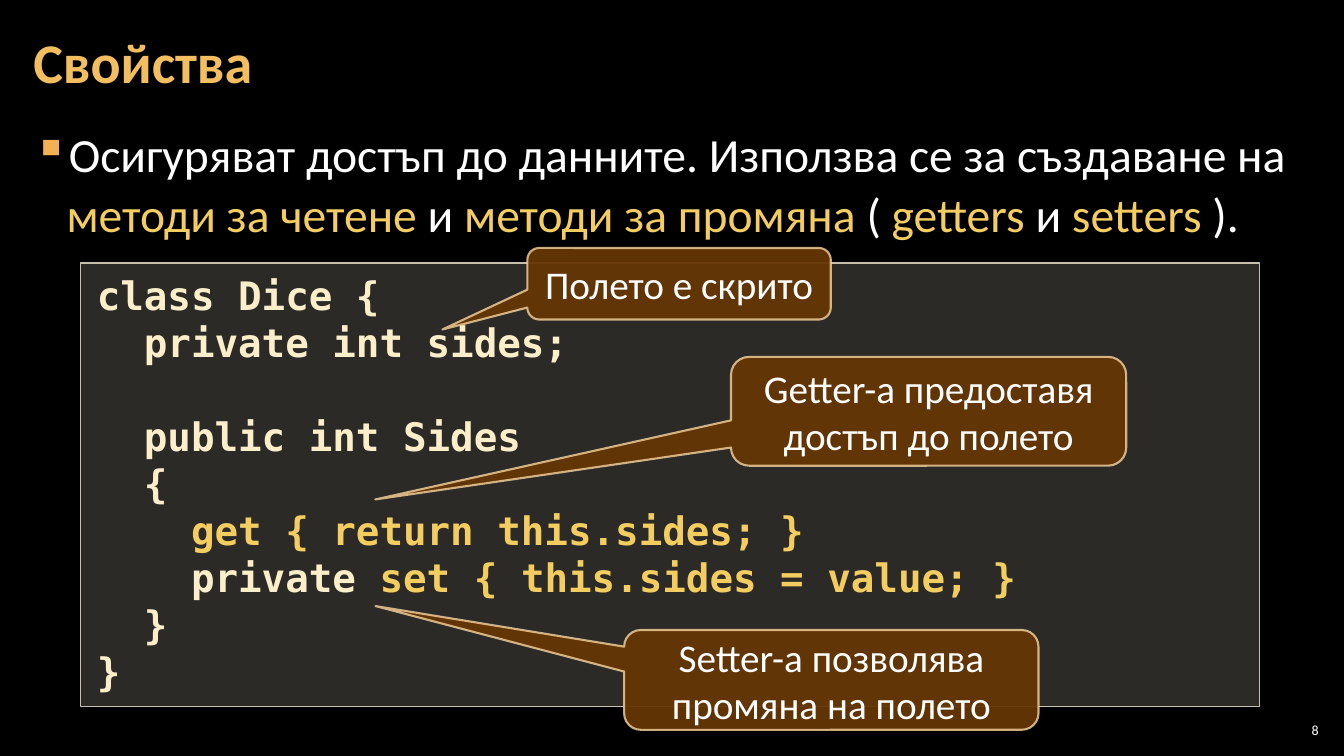
"""Build the slide about properties with getters and setters in a class."""
import pptx
import pptx.util
import pptx.dml.color
import pptx.enum.shapes
import pptx.enum.text
import pptx.oxml.ns
from lxml import etree

Inches = pptx.util.Inches
Pt = pptx.util.Pt
RGB = pptx.dml.color.RGBColor.from_string
ANCHOR = pptx.enum.text.MSO_ANCHOR
ALIGN = pptx.enum.text.PP_ALIGN
SHAPE = pptx.enum.shapes.MSO_SHAPE
COLORS = {
    "background": "000000", "white": "FFFFFF", "title": "F3BE60", "bullet": "F2B254",
    "accent": "F3CD60", "code": "FBEEC9", "code_fill": "D9D5C7", "code_line": "C7BFAC",
    "callout_fill": "663606", "callout_line": "F8D49E",
}


def write_spans(para, spans, size, font="Calibri", bold=False):
    para.font.size = Pt(size)
    for text, color in spans:
        span = para.add_run()
        span.text = text
        span.font.name = font
        span.font.size = Pt(size)
        span.font.bold = bold
        span.font.color.rgb = RGB(COLORS[color])


def set_opacity(color_format, color, percent):
    color_format.rgb = RGB(COLORS[color])
    for node in color_format._xFill.iter(pptx.oxml.ns.qn("a:srgbClr")):
        etree.SubElement(node, pptx.oxml.ns.qn("a:alpha"), val=str(percent * 1000))


deck = pptx.Presentation()
deck.slide_width = Inches(13.33)
deck.slide_height = Inches(7.5)
page = deck.slides.add_slide(deck.slide_layouts[5])
page.background.fill.solid()
page.background.fill.fore_color.rgb = RGB(COLORS["background"])

title = page.shapes.title
title.left, title.top, title.width, title.height = map(Inches, (0.21, 0.04, 10.47, 1.21))
body = page.shapes.add_textbox(Inches(0.21), Inches(1.17), Inches(12.91), Inches(6.09))
number = page.shapes.add_textbox(Inches(12.65), Inches(7.14), Inches(0.47), Inches(0.21))
for box, side, anchor in [(title, 0.12, ANCHOR.MIDDLE), (body, 0.12, ANCHOR.TOP),
                          (number, 0.04, ANCHOR.MIDDLE)]:
    frame = box.text_frame
    frame.word_wrap = True
    frame.auto_size = pptx.enum.text.MSO_AUTO_SIZE.NONE
    frame.vertical_anchor = anchor
    frame.margin_left = frame.margin_right = Inches(side)
    frame.margin_top = frame.margin_bottom = Inches(0.04)

para = title.text_frame.paragraphs[0]
para.alignment = ALIGN.LEFT
para.line_spacing = 0.9
write_spans(para, [("Свойства", "title")], 40, bold=True)

para = number.text_frame.paragraphs[0]
para.alignment = ALIGN.RIGHT
write_spans(para, [("8", "white")], 10)

para = body.text_frame.paragraphs[0]
para.line_spacing = 1.05
para.space_after = Pt(6)
properties = para._p.get_or_add_pPr()
properties.set("marL", str(Inches(0.33)))
properties.set("indent", str(-Inches(0.33)))
bullet_color = etree.SubElement(properties, pptx.oxml.ns.qn("a:buClr"))
etree.SubElement(bullet_color, pptx.oxml.ns.qn("a:srgbClr"), val=COLORS["bullet"])
etree.SubElement(properties, pptx.oxml.ns.qn("a:buChar"), char="▪")
write_spans(para, [
    ("Осигуряват достъп до данните. Използва се за създаване на ", "white"),
    ("методи за четене ", "accent"), ("и ", "white"),
    ("методи за промяна ", "accent"), ("( ", "white"),
    ("getters ", "accent"), ("и ", "white"), ("setters ", "accent"), (").", "white"),
], 34)

code_box = page.shapes.add_shape(
    SHAPE.RECTANGLE, Inches(0.8), Inches(2.61), Inches(11.69), Inches(4.4))
code_box.shadow.inherit = False
code_box.fill.solid()
set_opacity(code_box.fill.fore_color, "code_fill", 20)
code_box.line.color.rgb = RGB(COLORS["code_line"])
code_box.line.width = Pt(1)
frame = code_box.text_frame
frame.word_wrap = True
frame.vertical_anchor = ANCHOR.TOP
frame.margin_left = frame.margin_right = Inches(0.16)
frame.margin_top = frame.margin_bottom = Inches(0.08)
code_lines = [
    [("class Dice {", "code")],
    [("  private int sides;", "code")],
    [],
    [("  public int Sides", "code")],
    [("  {", "code")],
    [("    ", "code"), ("get { return this.sides; }", "accent")],
    [("    private ", "code"), ("set { this.sides = value; }", "accent")],
    [("  }", "code")],
    [("}", "code")],
]
for index, spans in enumerate(code_lines):
    para = frame.add_paragraph() if index else frame.paragraphs[0]
    para.alignment = ALIGN.LEFT
    para.font.name = "DejaVu Sans Mono"
    write_spans(para, spans, 28, "DejaVu Sans Mono", True)

callouts = [
    ("Полето е скрито", (5.23, 2.46, 3.01, 0.71), (-0.78, 0.64)),
    ("Getter-а предоставя достъп до полето", (7.25, 3.54, 3.92, 1.08), (-1.4, 0.81)),
    ("Setter-а позволява промяна на полето", (6.19, 6.25, 4.11, 0.99), (-1.1, -0.74)),
]
for text, place, tip in callouts:
    callout = page.shapes.add_shape(SHAPE.ROUNDED_RECTANGULAR_CALLOUT, *map(Inches, place))
    callout.adjustments[0], callout.adjustments[1] = tip
    callout.shadow.inherit = False
    callout.fill.solid()
    set_opacity(callout.fill.fore_color, "callout_fill", 95)
    callout.line.width = Pt(1.5)
    set_opacity(callout.line.color, "callout_line", 80)
    callout.text_frame.word_wrap = True
    callout.text_frame.vertical_anchor = ANCHOR.MIDDLE
    para = callout.text_frame.paragraphs[0]
    para.alignment = ALIGN.CENTER
    write_spans(para, [(text, "white")], 28)

deck.save("out.pptx")
